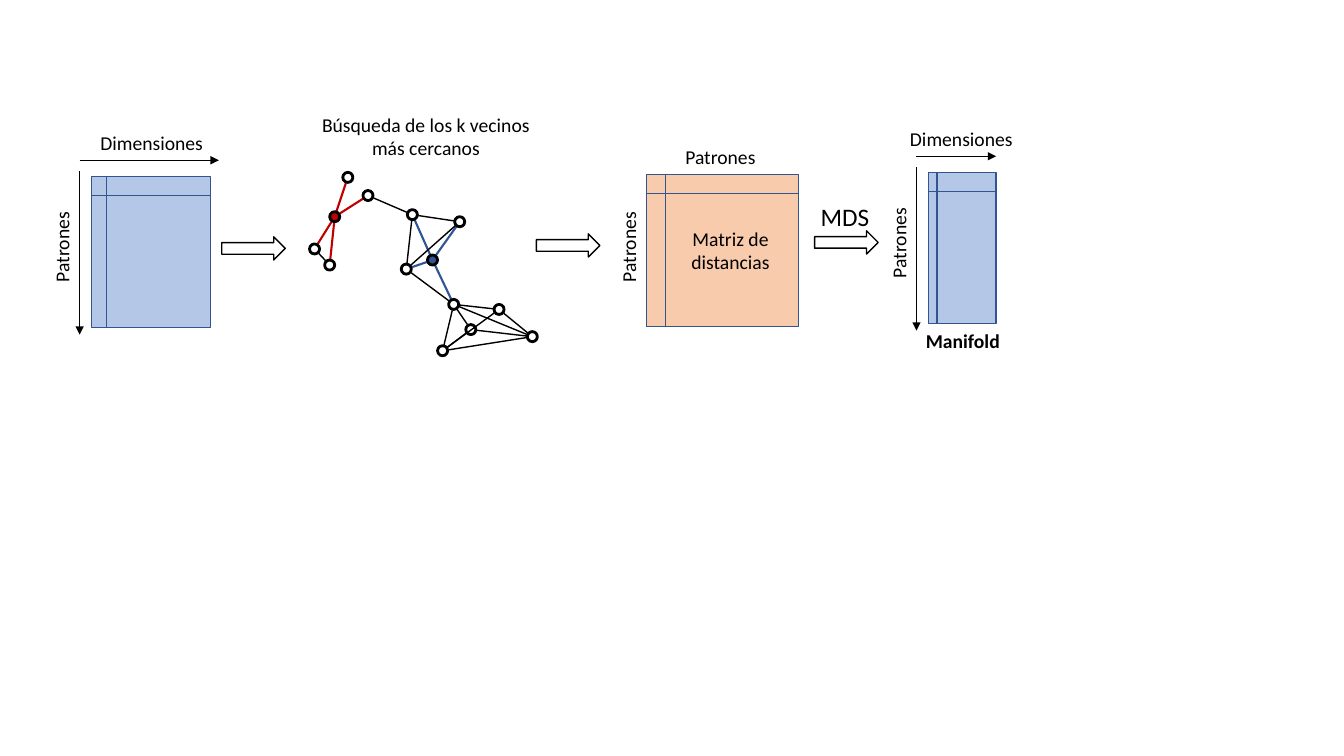
"""Build a slide showing the steps from a data matrix to a manifold."""
from math import hypot

from lxml import etree
from pptx import Presentation
from pptx import util as u
from pptx.dml.color import RGBColor
from pptx.enum import shapes, text
from pptx.oxml import ns

PX = 9144
SLIDE_SIZE = 1333, 750
BLACK, RED, BLUE, BORDER = "000000", "C00000", "2F5597", "325491"
DATA_FILL, DISTANCE_FILL = "B4C7E7", "F8CBAD"

NODE_SIZE, EDGE_GAP = 10, 6
NODES = {
    "red hub": (332, 215), "red top": (345, 176), "red left": (312, 247),
    "red bridge": (365, 194), "red low": (327, 263),
    "blue hub": (429, 258), "blue nw": (409, 213), "blue ne": (456, 220),
    "blue sw": (403, 267),
    "waist": (450, 302), "inner": (467, 327), "upper": (495, 307),
    "bottom": (439, 348), "east": (528, 334),
}
HUB_FILLS = {"red hub": RED, "blue hub": BLUE}
NEIGHBOURS = {
    "red hub": ["red top", "red left", "red bridge", "red low"],
    "blue hub": ["blue nw", "blue ne", "blue sw", "waist"],
    "red bridge": ["blue nw"],
    "red low": ["red left"],
    "blue nw": ["blue sw", "blue ne"],
    "blue sw": ["blue ne", "waist"],
    "waist": ["inner", "upper", "bottom", "east"],
    "east": ["inner", "bottom", "upper"],
    "bottom": ["inner", "upper"],
}

STEP_ARROWS = [(220, 235), (532, 232), (808, 229)]
DATA_MATRICES = [
    {"left": 91, "top": 175, "width": 118, "axis_end": 217, "title_left": 89},
    {"left": 921, "top": 171, "width": 67, "axis_end": 988, "title_left": 892},
]
LABELS = [
    ("Búsqueda de los k vecinos más cercanos", (300, 107, 245, 57), {"wrap": True}),
    ("Matriz de distancias", (650, 220, 149, 57), {"wrap": True}),
    ("Patrones", (578, 228, 91, 34), {"rotation": 270}),
    ("Patrones", (669, 139, 91, 34), {}),
    ("MDS", (804, 195, 69, 40), {"size": 18, "align": text.PP_ALIGN.LEFT}),
    ("Manifold", (908, 321, 94, 34), {"bold": True}),
]

deck = Presentation()
deck.slide_width, deck.slide_height = (n * PX for n in SLIDE_SIZE)
slide = deck.slides.add_slide(deck.slide_layouts[6])


def color(code):
    return RGBColor.from_string(code)


def emu(lengths):
    return [round(n * PX) for n in lengths]


def add_label(words, box, size=14, bold=False, rotation=0, wrap=False,
              align=text.PP_ALIGN.CENTER):
    label = slide.shapes.add_textbox(*emu(box))
    label.rotation = rotation
    label.text_frame.word_wrap = wrap
    paragraph = label.text_frame.paragraphs[0]
    paragraph.alignment = align
    run = paragraph.add_run()
    run.text = words
    run.font.name, run.font.size, run.font.bold = "Calibri", u.Pt(size), bold
    run.font.color.rgb = color(BLACK)


def add_outline(kind, box, fill=None, line=BLACK, weight=1):
    outline = slide.shapes.add_shape(kind, *emu(box))
    outline.shadow.inherit = False
    if fill:
        outline.fill.solid()
        outline.fill.fore_color.rgb = color(fill)
    else:
        outline.fill.background()
    outline.line.color.rgb = color(line)
    outline.line.width = u.Pt(weight)


def add_line(start, end, line=BLACK, weight=1, arrow=False):
    connector = slide.shapes.add_connector(
        shapes.MSO_CONNECTOR.STRAIGHT, *emu(start + end))
    connector.line.color.rgb = color(line)
    connector.line.width = u.Pt(weight)
    if arrow:
        stroke = connector.line._get_or_add_ln()
        etree.SubElement(stroke, ns.qn("a:tailEnd"), type="triangle")
    etree.SubElement(connector._element.spPr, ns.qn("a:effectLst"))


def add_edge(first, second):
    (x1, y1), (x2, y2) = NODES[first], NODES[second]
    length = hypot(x2 - x1, y2 - y1)
    dx, dy = ((x2 - x1) * EDGE_GAP / length, (y2 - y1) * EDGE_GAP / length)
    hub_line = HUB_FILLS.get(first)
    add_line((x1 + dx, y1 + dy), (x2 - dx, y2 - dy),
             hub_line or BLACK, 1.5 if hub_line else 1)


def add_matrix(box, fill):
    add_outline(shapes.MSO_SHAPE.FLOWCHART_INTERNAL_STORAGE, box, fill, BORDER)


def add_data_matrix(left, top, width, axis_end, title_left):
    add_matrix((left, top, width, 150), DATA_FILL)
    axis = left - 12
    add_line((axis, top - 5), (axis, top + 157), weight=0.5, arrow=True)
    add_line((axis, top - 16), (axis_end, top - 16), weight=0.5, arrow=True)
    add_label("Dimensiones", (title_left, top - 50, 123, 34))
    add_label("Patrones", (left - 75, top + 53, 91, 34), rotation=270)


def main():
    for left, top in STEP_ARROWS:
        add_outline(shapes.MSO_SHAPE.RIGHT_ARROW, (left, top, 63, 23))
    for node, neighbours in NEIGHBOURS.items():
        for neighbour in neighbours:
            add_edge(node, neighbour)
    for node, (x, y) in NODES.items():
        corner = x - NODE_SIZE / 2, y - NODE_SIZE / 2
        add_outline(shapes.MSO_SHAPE.OVAL, (*corner, NODE_SIZE, NODE_SIZE),
                    HUB_FILLS.get(node), weight=2)
    add_matrix((641, 173, 151, 151), DISTANCE_FILL)
    for matrix in DATA_MATRICES:
        add_data_matrix(**matrix)
    for words, box, style in LABELS:
        add_label(words, box, **style)
    deck.save("out.pptx")


if __name__ == "__main__":
    main()
